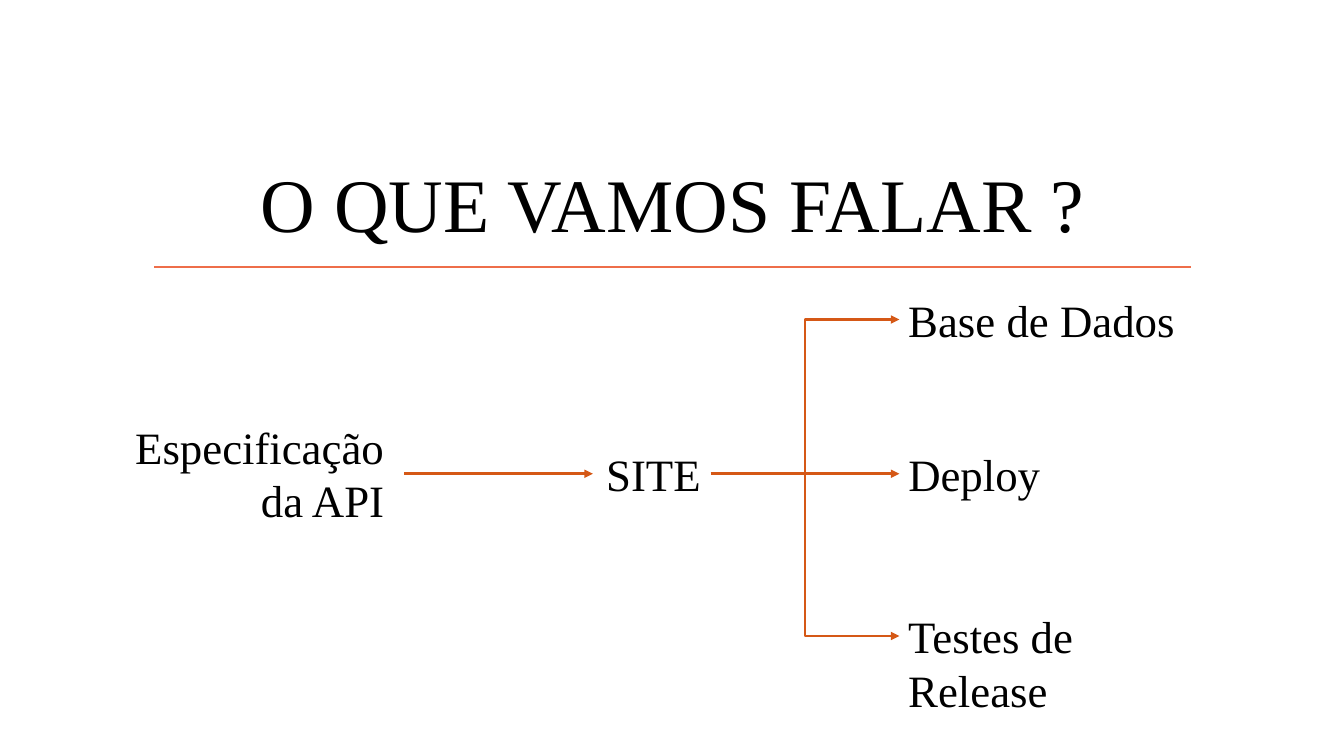
from pptx import Presentation
from pptx.dml.color import RGBColor as RGB
from pptx.enum.shapes import MSO_CONNECTOR as Conn
from pptx.enum.text import MSO_ANCHOR as Anchor, MSO_AUTO_SIZE as Auto, PP_ALIGN as Align
from pptx.oxml.ns import qn
from pptx.util import Inches, Pt
from lxml.etree import SubElement

COLORS = {"text": "000000", "rule": "EE6E4A", "arrow": "D55816"}
FONT = "Times New Roman"
TITLE = "O QUE VAMOS FALAR ?"
MID, SITE, GOALS = 4.7, 7.05, 8.91
SPAN = 1.87
LABELS = [
    ("Especificação da API", 1.15, 4.11, 2.76, 1.18, Align.RIGHT, True),
    ("SITE", 5.88, 4.38, 1.17, 0.64, Align.RIGHT, False),
    ("Base de Dados", GOALS, 2.85, 2.86, 0.64, Align.LEFT, False),
    ("Deploy", GOALS, 4.38, 1.59, 0.64, Align.LEFT, False),
    ("Testes de Release", GOALS, 5.99, 3.2, 0.64, Align.LEFT, True),
]
ARROWS = [(4.01, MID), (SITE, 3.17), (SITE, MID), (SITE, 6.31)]


def write(para, text, size, align):
    para.alignment = align
    run = para.add_run()
    run.text = text
    run.font.name = FONT
    run.font.size = Pt(size)
    run.font.color.rgb = RGB.from_string(COLORS["text"])


def add_line(slide, kind, ends, color, width):
    line = slide.shapes.add_connector(kind, *map(Inches, ends))
    line.line.color.rgb = RGB.from_string(COLORS[color])
    line.line.width = Pt(width)
    props = line._element.spPr
    SubElement(props, qn("a:effectLst"))
    return props


def add_arrow(slide, left, end):
    kind = Conn.STRAIGHT if end == MID else Conn.ELBOW
    props = add_line(slide, kind, (left, MID, left + SPAN, end), "arrow", 2)
    SubElement(props.find(qn("a:ln")), qn("a:tailEnd"), type="triangle")


def add_label(slide, text, left, top, width, height, align, wrap):
    box = slide.shapes.add_textbox(*map(Inches, (left, top, width, height)))
    frame = box.text_frame
    frame.word_wrap = wrap
    frame.auto_size = Auto.SHAPE_TO_FIT_TEXT
    write(frame.paragraphs[0], text, 32, align)


def add_title(slide):
    title = slide.shapes.title
    title.left, title.top, title.width, title.height = map(Inches, (1.42, 1.07, 10.5, 1.43))
    frame = title.text_frame
    frame.word_wrap = True
    frame.auto_size = Auto.NONE
    frame.vertical_anchor = Anchor.MIDDLE
    para = frame.paragraphs[0]
    para.line_spacing = 1.5
    write(para, TITLE, 54, Align.CENTER)


def main():
    deck = Presentation()
    deck.slide_width, deck.slide_height = Inches(13.33), Inches(7.5)
    slide = deck.slides.add_slide(deck.slide_layouts[5])
    add_line(slide, Conn.STRAIGHT, (1.53, 2.65, 11.81, 2.65), "rule", 1.25)
    add_title(slide)
    for label in LABELS:
        add_label(slide, *label)
    for arrow in ARROWS:
        add_arrow(slide, *arrow)
    deck.save("out.pptx")


if __name__ == "__main__":
    main()
